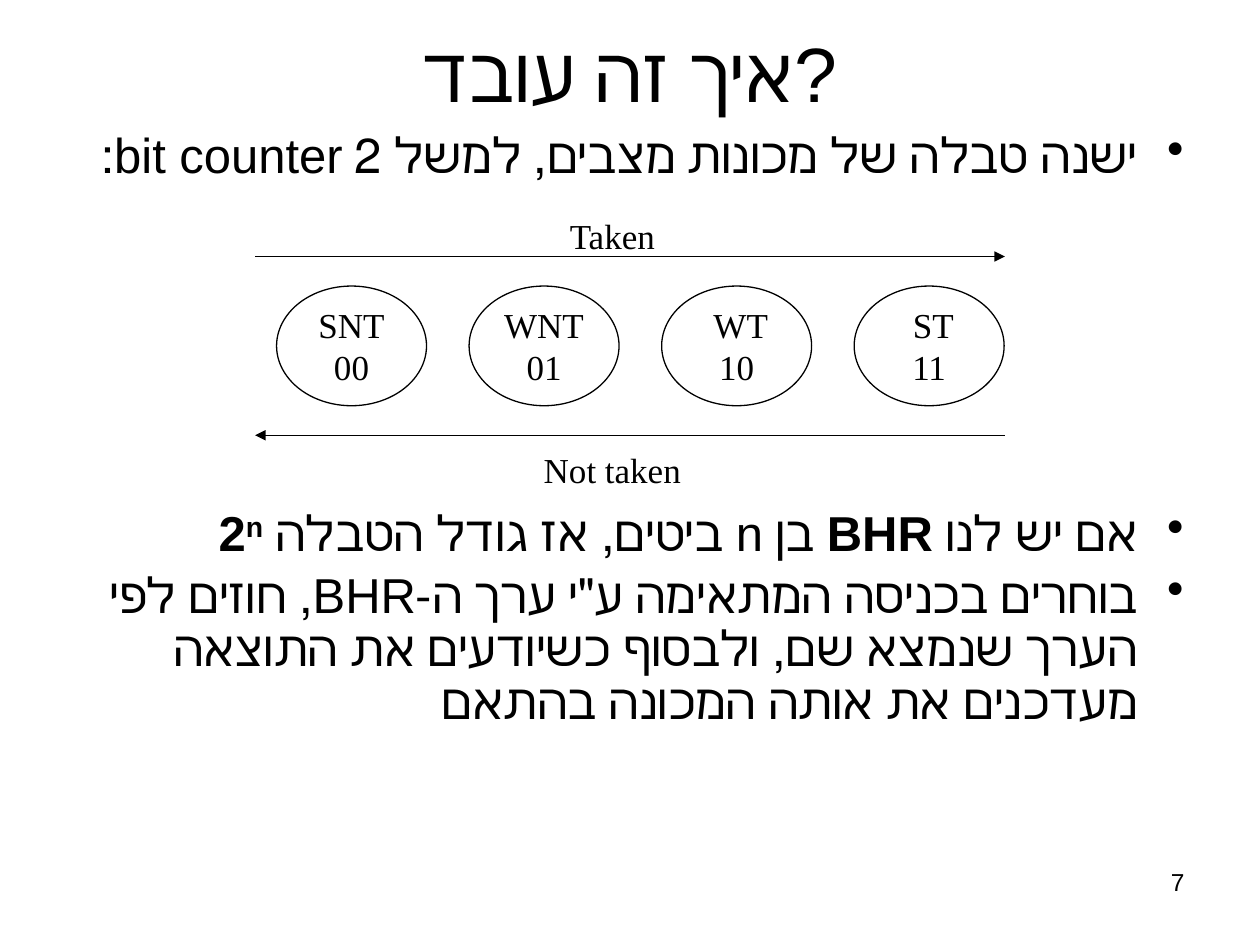
import dataclasses

import pptx
import pptx.dml.color
import pptx.enum.shapes
import pptx.enum.text
import pptx.oxml.ns
import pptx.util
from lxml import etree

ALIGN = pptx.enum.text.PP_ALIGN
ANCHOR = pptx.enum.text.MSO_ANCHOR
SHAPE = pptx.enum.shapes.MSO_SHAPE
qn = pptx.oxml.ns.qn


@dataclasses.dataclass(frozen=True)
class Theme:
    ink: str = "000000"
    paper: str = "FFFFFF"
    sans: str = "Arial"
    serif: str = "Times New Roman"
    title: int = 44
    body: int = 28
    diagram: int = 20
    number: int = 14
    line: float = 0.75


class Painter:
    """Draws on one slide, with lengths in cells of a 100 by 75 grid."""

    COLUMNS = 100

    def __init__(self, deck, theme):
        self.theme = theme
        self.cell = deck.slide_width / self.COLUMNS
        self.page = deck.slides.add_slide(deck.slide_layouts[6])

    def grid(self, *cells):
        return [pptx.util.Emu(round(count * self.cell)) for count in cells]

    def color(self, value):
        return pptx.dml.color.RGBColor.from_string(value)

    def span(self, para, text, size, font, bold=False, raised=False):
        span = para.add_run()
        span.text = text
        span.font.size = pptx.util.Pt(size)
        span.font.name = font
        span.font.bold = bold
        span.font.color.rgb = self.color(self.theme.ink)
        if raised:
            span._r.get_or_add_rPr().set("baseline", "30000")

    def text(self, place, words, size, align, anchor=ANCHOR.TOP):
        box = self.page.shapes.add_textbox(*self.grid(*place))
        box.text_frame.word_wrap = True
        box.text_frame.vertical_anchor = anchor
        para = box.text_frame.paragraphs[0]
        para.alignment = align
        self.span(para, words, size, self.theme.sans)

    def bullets(self, place, items, indent):
        box = self.page.shapes.add_textbox(*self.grid(*place))
        frame = box.text_frame
        frame.word_wrap = True
        for index, (gap, spans) in enumerate(items):
            para = frame.add_paragraph() if index else frame.paragraphs[0]
            para.alignment = ALIGN.RIGHT
            para.line_spacing = 0.9
            para.space_before = pptx.util.Pt(gap)
            properties = para._p.get_or_add_pPr()
            hang = self.grid(indent)[0]
            for name, value in (("marL", hang), ("indent", -hang), ("rtl", 1)):
                properties.set(name, str(int(value)))
            etree.SubElement(properties, qn("a:buFontTx"))
            etree.SubElement(properties, qn("a:buChar")).set("char", "•")
            for words, style in spans:
                self.span(para, words, self.theme.body, self.theme.sans, **style)

    def shape(self, kind, place, lines, outlined=False, anchor=ANCHOR.MIDDLE):
        box = self.page.shapes.add_shape(kind, *self.grid(*place))
        box.shadow.inherit = False
        box.fill.solid()
        box.fill.fore_color.rgb = self.color(self.theme.paper)
        if outlined:
            box.line.color.rgb = self.color(self.theme.ink)
            box.line.width = pptx.util.Pt(self.theme.line)
        else:
            box.line.fill.background()
        frame = box.text_frame
        frame.word_wrap = True
        frame.vertical_anchor = anchor
        frame.margin_left = frame.margin_right = 0
        frame.margin_top = frame.margin_bottom = 0
        for index, words in enumerate(lines):
            para = frame.add_paragraph() if index else frame.paragraphs[0]
            para.alignment = ALIGN.CENTER
            self.span(para, words, self.theme.diagram, self.theme.serif)

    def arrow(self, start, end, row):
        line = self.page.shapes.add_connector(
            pptx.enum.shapes.MSO_CONNECTOR.STRAIGHT,
            *self.grid(start, row, end, row))
        line.line.color.rgb = self.color(self.theme.ink)
        line.line.width = pptx.util.Pt(self.theme.line)
        etree.SubElement(line.line._get_or_add_ln(), qn("a:tailEnd")).set("type", "triangle")
        etree.SubElement(line.element.spPr, qn("a:effectLst"))


def main():
    deck = pptx.Presentation()
    deck.slide_width = pptx.util.Inches(10)
    deck.slide_height = pptx.util.Inches(7.5)
    theme = Theme()
    painter = Painter(deck, theme)

    # Title
    painter.text((5, 3, 90, 5.4), "איך זה עובד?", theme.title, ALIGN.CENTER, ANCHOR.MIDDLE)

    # Bullets, with room for the diagram before the second one
    small_gap, diagram_gap = 5, 186
    strong = {"bold": True}
    painter.bullets((5, 9.9, 90, 57.1), [
        (small_gap, [("ישנה טבלה של מכונות מצבים, למשל 2 bit counter:", {})]),
        (diagram_gap, [
            ("אם יש לנו ", {}),
            ("BHR", strong),
            (" בן n ביטים, אז גודל הטבלה ", {}),
            ("2", strong),
            ("n", {"bold": True, "raised": True}),
        ]),
        (small_gap, [("בוחרים בכניסה המתאימה ע\"י ערך ה-BHR, חוזים לפי הערך שנמצא שם, "
                      "ולבסוף כשיודעים את התוצאה מעדכנים את אותה המכונה בהתאם", {})]),
    ], indent=3.75)

    # States of the counter
    first_left, pitch = 21.95, 15.28
    for index, state in enumerate(("SNT", "WNT", " WT", " ST")):
        place = (first_left + index * pitch, 22.7, 11.9, 9.5)
        painter.shape(SHAPE.OVAL, place, (state, f"{index:02b}"), outlined=True)

    # Directions of change
    left, right = 20.25, 79.75
    painter.arrow(left, right, 20.36)
    painter.arrow(right, left, 34.55)
    for label, place in (("Taken", (45.2, 17, 6.8, 2.3)),
                         ("Not taken", (41.9, 35.6, 13.4, 3.1))):
        painter.shape(SHAPE.RECTANGLE, place, (label,), anchor=ANCHOR.TOP)

    # Page number
    painter.text((71.7, 68.3, 23.3, 5.2), "7", theme.number, ALIGN.RIGHT)

    deck.save("out.pptx")


if __name__ == "__main__":
    main()
